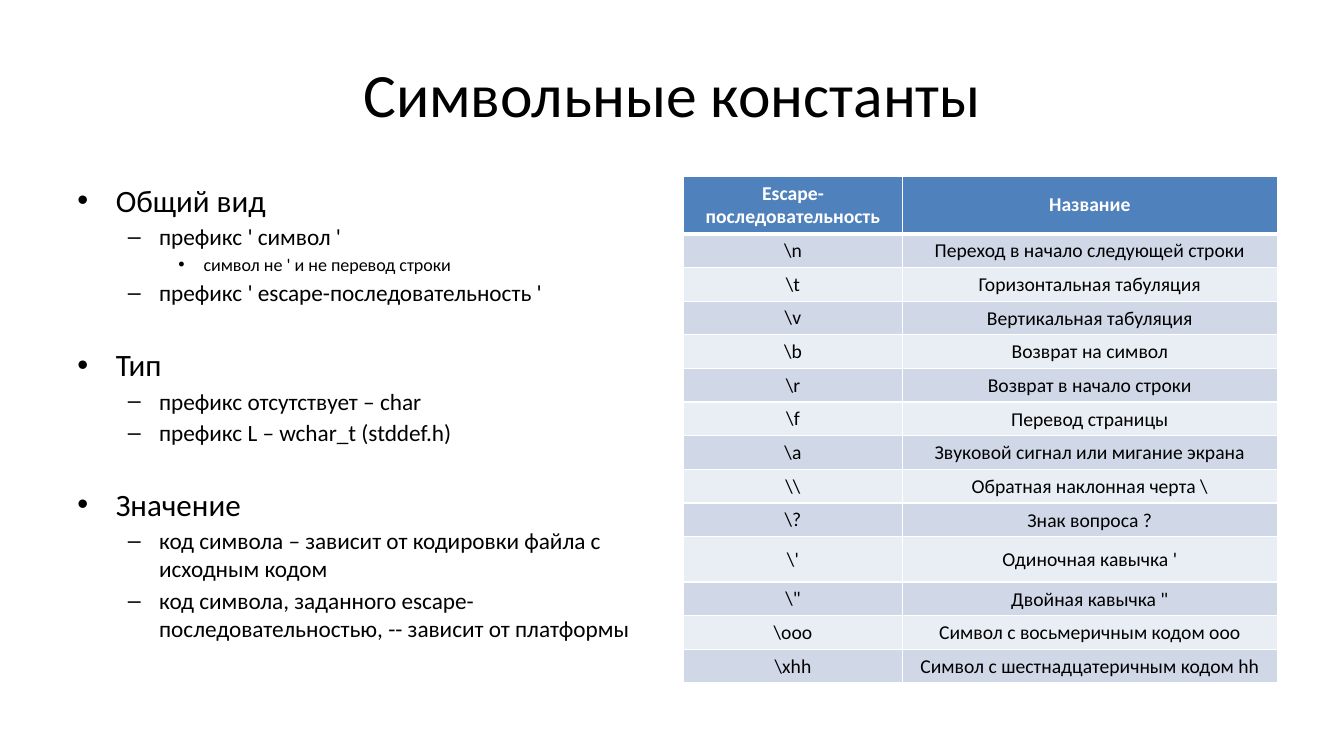
"""Build the slide on character constants."""
from lxml import etree
from pptx import Presentation
from pptx import util as u
from pptx.dml import color
from pptx.enum import text
from pptx.oxml import ns

PX = 9144
THEME = {
    "font": "Calibri", "ink": "000000", "paper": "FFFFFF",
    "head": "4F81BD", "bands": ("D0D8E8", "E9EDF4"),
    "title": 44, "cell": 14,
}
LEVELS = (
    {"size": 22.2, "left": 38, "hang": 38, "mark": "•", "gap": 3.6},
    {"size": 16.6, "left": 81, "hang": 31, "mark": "–", "gap": 2.7},
    {"size": 12.9, "left": 125, "hang": 25, "mark": "•", "gap": 2.1},
)
BREAK = 28
POINTS = (
    (0, "Общий вид"),
    (1, "префикс ' символ '"),
    (2, "символ не ' и не перевод строки"),
    (1, "префикс ' escape-последовательность '"),
    (0, "Тип"),
    (1, "префикс отсутствует – char"),
    (1, "префикс L – wchar_t (stddef.h)"),
    (0, "Значение"),
    (1, "код символа – зависит от кодировки файла с исходным кодом"),
    (1, "код символа, заданного escape-последовательностью, -- зависит от платформы"),
)
ROWS = (
    ("Escape-последовательность", "Название"),
    (r"\n", "Переход в начало следующей строки"),
    (r"\t", "Горизонтальная табуляция"),
    (r"\v", "Вертикальная табуляция"),
    (r"\b", "Возврат на символ"),
    (r"\r", "Возврат в начало строки"),
    (r"\f", "Перевод страницы"),
    (r"\a", "Звуковой сигнал или мигание экрана"),
    (r"\\", "Обратная наклонная черта \\"),
    (r"\?", "Знак вопроса ?"),
    (r"\'", "Одиночная кавычка '"),
    (r'\"', 'Двойная кавычка "'),
    (r"\ooo", "Символ с восьмеричным кодом ooo"),
    (r"\xhh", "Символ с шестнадцатеричным кодом hh"),
)
COLS = (217, 372)
HEAD, ROW, TALL = 57, 33, 45
QUOTE = 10


def px(*sizes):
    """Turn px lengths into EMU."""
    return [u.Emu(size * PX) for size in sizes]


def put(item, values):
    """Set attributes from a dict."""
    for name, value in values.items():
        setattr(item, name, value)


def write(para, words, size, ink=THEME["ink"], bold=False):
    """Add one styled run to a paragraph."""
    run = para.add_run()
    run.text = words
    put(run.font, {"name": THEME["font"], "size": u.Pt(size), "bold": bold})
    run.font.color.rgb = color.RGBColor.from_string(ink)


def add_box(slide, *area):
    """Add a wrapping text box and return its frame."""
    frame = slide.shapes.add_textbox(*px(*area)).text_frame
    frame.word_wrap = True
    return frame


def add_title(slide, words):
    """Add the centred title."""
    frame = add_box(slide, 67, 30, 1200, 125)
    frame.vertical_anchor = text.MSO_ANCHOR.MIDDLE
    para = frame.paragraphs[0]
    para.alignment = text.PP_ALIGN.CENTER
    write(para, words, THEME["title"])


def add_list(slide, points):
    """Add the nested bullet list."""
    frame = add_box(slide, 67, 175, 589, 495)
    for i, (depth, words) in enumerate(points):
        para = frame.add_paragraph() if i else frame.paragraphs[0]
        level = LEVELS[depth]
        gap = BREAK if i and depth == 0 else level["gap"]
        put(para, {"level": depth, "space_before": u.Pt(gap)})
        left, hang = px(level["left"], level["hang"])
        props = para._p.get_or_add_pPr()
        props.set("marL", str(left))
        props.set("indent", str(-hang))
        font = etree.SubElement(props, ns.qn("a:buFont"))
        font.set("typeface", "Arial")
        mark = etree.SubElement(props, ns.qn("a:buChar"))
        mark.set("char", level["mark"])
        write(para, words, level["size"])


def add_edges(cell, base):
    """Draw the white borders of a cell."""
    props = cell._tc.get_or_add_tcPr()
    widths = {"lnL": 1, "lnR": 1, "lnT": 1, "lnB": base}
    for i, (side, width) in enumerate(widths.items()):
        line = etree.Element(ns.qn("a:" + side), w=str(u.Pt(width)))
        fill = etree.SubElement(line, ns.qn("a:solidFill"))
        etree.SubElement(fill, ns.qn("a:srgbClr"), val=THEME["paper"])
        props.insert(i, line)


def fill_cell(cell, words, row, col):
    """Style and fill one table cell."""
    head = row == 0
    shade = THEME["head"] if head else THEME["bands"][(row - 1) % 2]
    cell.fill.solid()
    cell.fill.fore_color.rgb = color.RGBColor.from_string(shade)
    cell.vertical_anchor = text.MSO_ANCHOR.MIDDLE
    if col and not head:
        thin, none = px(1, 0)
        put(cell, {"margin_left": thin, "margin_right": thin,
                   "margin_top": thin, "margin_bottom": none})
    para = cell.text_frame.paragraphs[0]
    para.alignment = text.PP_ALIGN.CENTER
    write(para, words, THEME["cell"], THEME["paper" if head else "ink"], head)
    add_edges(cell, 3 if head else 1)


def add_grid(slide, rows):
    """Add the table of escape sequences."""
    tall = [{0: HEAD, QUOTE: TALL}.get(i, ROW) for i in range(len(rows))]
    area = px(678, 175, sum(COLS), sum(tall))
    table = slide.shapes.add_table(len(rows), len(COLS), *area).table
    for col, width in zip(table.columns, px(*COLS)):
        col.width = width
    for line, height in zip(table.rows, px(*tall)):
        line.height = height
    for i, row in enumerate(rows):
        for j, words in enumerate(row):
            fill_cell(table.cell(i, j), words, i, j)


def main():
    """Build and save the slide."""
    deck = Presentation()
    wide, high = px(1333, 750)
    put(deck, {"slide_width": wide, "slide_height": high})
    slide = deck.slides.add_slide(deck.slide_layouts[6])
    add_title(slide, "Символьные константы")
    add_list(slide, POINTS)
    add_grid(slide, ROWS)
    deck.save("out.pptx")


if __name__ == "__main__":
    main()
